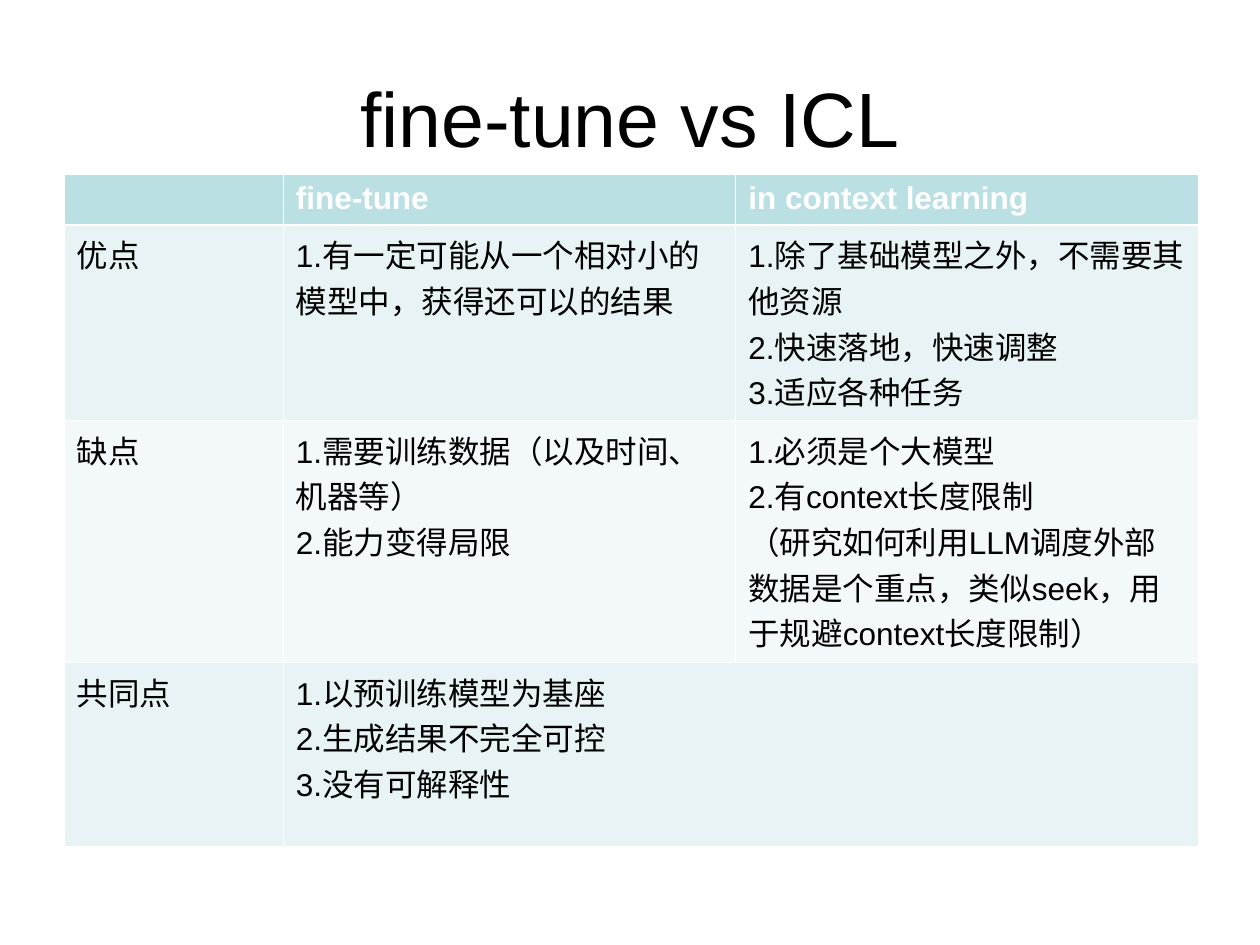
"""Build a slide comparing fine-tuning with in-context learning."""
from pptx import Presentation
from pptx.dml.color import RGBColor
from pptx.enum.text import MSO_ANCHOR, PP_ALIGN
from pptx.oxml.ns import qn
from pptx.util import Pt
from lxml import etree

CENTER, LEFT = PP_ALIGN.CENTER, PP_ALIGN.LEFT
MIDDLE = MSO_ANCHOR.MIDDLE
BLACK = RGBColor(0x00, 0x00, 0x00)
WHITE = RGBColor(0xFF, 0xFF, 0xFF)
HEADER_FILL = RGBColor(0xBB, 0xE0, 0xE3)
BAND_FILLS = [RGBColor(0xF3, 0xF9, 0xFA), RGBColor(0xE7, 0xF3, 0xF4)]
THIN, THICK = 0.45, 1.47

TITLE = "fine-tune vs ICL"
ROWS = [
    ["", "fine-tune", "in context learning"],
    ["优点",
     "1.有一定可能从一个相对小的模型中，获得还可以的结果",
     "1.除了基础模型之外，不需要其他资源\n2.快速落地，快速调整\n3.适应各种任务"],
    ["缺点",
     "1.需要训练数据（以及时间、机器等）\n2.能力变得局限",
     "1.必须是个大模型\n2.有context长度限制\n"
     "（研究如何利用LLM调度外部数据是个重点，类似seek，用于规避context长度限制）"],
    ["共同点", "1.以预训练模型为基座\n2.生成结果不完全可控\n3.没有可解释性", ""],
]
COLUMN_WIDTHS = [125.2, 258.6, 264.2]
ROW_HEIGHTS = [28.8, 111.6, 138.2, 105.1]


def write_text(frame, text, size=18, color=BLACK, bold=False, align=LEFT):
    frame.word_wrap = True
    for index, line in enumerate(text.split("\n")):
        paragraph = frame.paragraphs[0] if index == 0 else frame.add_paragraph()
        paragraph.alignment = align
        font = paragraph.font
        if line:
            run = paragraph.add_run()
            run.text = line
            font = run.font
        font.name = "Arial"
        font.size = Pt(size)
        font.bold = bold
        font.color.rgb = color


def add_borders(cell, top, bottom):
    properties = cell._tc.get_or_add_tcPr()
    for side, width in (("L", THIN), ("R", THIN), ("T", top), ("B", bottom)):
        line = etree.SubElement(properties, qn(f"a:ln{side}"), w=str(Pt(width)))
        fill = etree.SubElement(line, qn("a:solidFill"))
        etree.SubElement(fill, qn("a:srgbClr"), val=str(WHITE))


def fill_table(table):
    for column, width in zip(table.columns, COLUMN_WIDTHS):
        column.width = Pt(width)
    for row_index, (row, height) in enumerate(zip(table.rows, ROW_HEIGHTS)):
        row.height = Pt(height)
        header = row_index == 0
        for cell, text in zip(row.cells, ROWS[row_index]):
            add_borders(cell, THICK if row_index == 1 else THIN, THICK if header else THIN)
            cell.fill.solid()
            cell.fill.fore_color.rgb = HEADER_FILL if header else BAND_FILLS[row_index % 2]
            write_text(cell.text_frame, text, color=WHITE if header else BLACK, bold=header)
    last = len(ROWS) - 1
    table.cell(last, 1).merge(table.cell(last, 2))


def main():
    presentation = Presentation()
    presentation.slide_width, presentation.slide_height = Pt(720), Pt(540)
    slide = presentation.slides.add_slide(presentation.slide_layouts[6])
    title = slide.shapes.add_textbox(Pt(36), Pt(21.6), Pt(648), Pt(90))
    title.text_frame.vertical_anchor = MIDDLE
    write_text(title.text_frame, TITLE, size=44, align=CENTER)
    frame = slide.shapes.add_table(
        len(ROWS), len(COLUMN_WIDTHS), Pt(36.7), Pt(99.8),
        Pt(sum(COLUMN_WIDTHS)), Pt(sum(ROW_HEIGHTS)))
    fill_table(frame.table)
    presentation.save("out.pptx")


if __name__ == "__main__":
    main()
